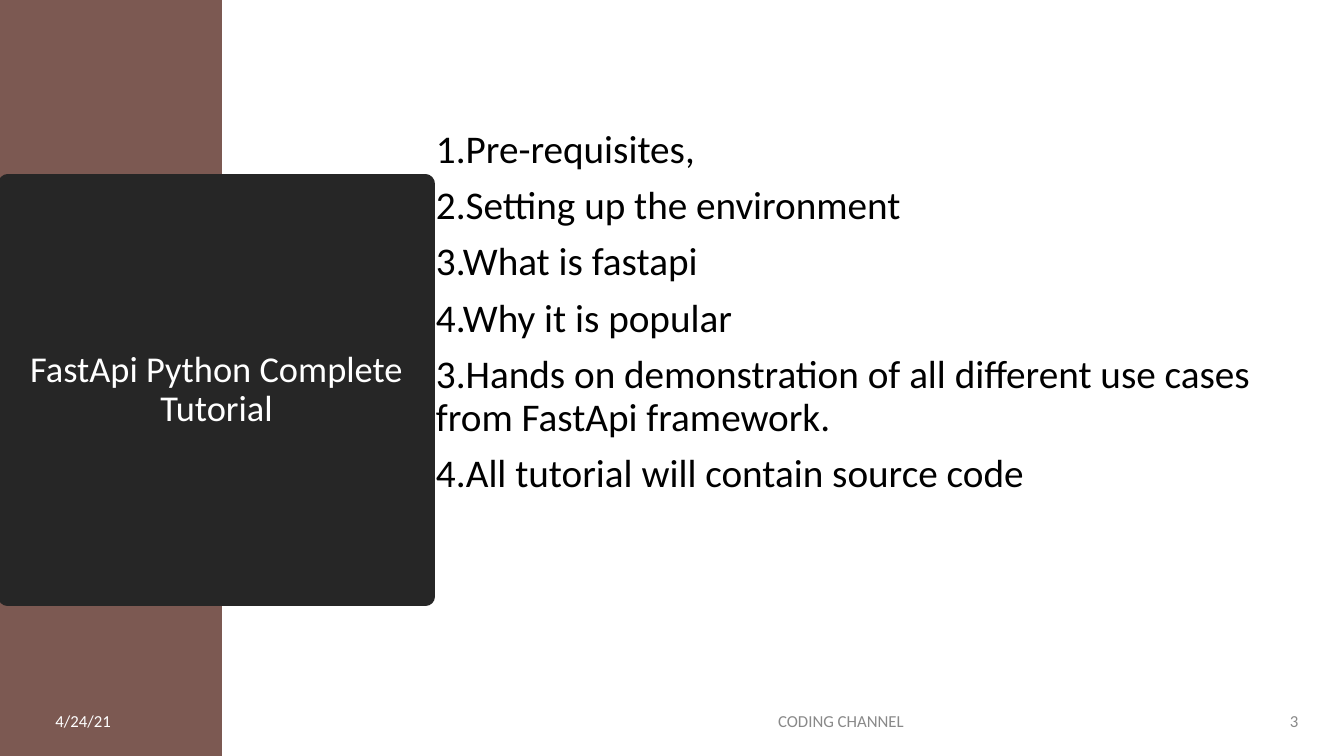
from dataclasses import dataclass

from lxml.etree import SubElement
from pptx import Presentation
from pptx.dml.color import RGBColor
from pptx.enum.shapes import MSO_SHAPE
from pptx.enum.text import MSO_ANCHOR as Anchor, MSO_AUTO_SIZE as AutoSize, PP_ALIGN as Align
from pptx.oxml.ns import qn
from pptx.shapes.base import BaseShape
from pptx.slide import Slide
from pptx.text.text import TextFrame
from pptx.util import Pt

COLORS = {
    "band": "7C5952",
    "panel": "262626",
    "light": "FFFFFF",
    "muted": "898989",
    "text": "000000",
}
FONT = "Calibri"
SLIDE_WIDTH, SLIDE_HEIGHT = 960, 540
TITLE = "FastApi Python Complete Tutorial"
TOPICS = [
    "1.Pre-requisites,",
    "2.Setting up the environment",
    "3.What is fastapi",
    "4.Why it is popular",
    "3.Hands on demonstration of all different use cases from FastApi framework.",
    "4.All tutorial will contain source code",
]


@dataclass(frozen=True)
class Box:
    left: float
    top: float
    width: float
    height: float


@dataclass(frozen=True)
class FooterItem:
    text: str
    left: float
    width: float
    align: Align
    color: str


BAND = Box(0, 0, 158.5, SLIDE_HEIGHT)
TITLE_PANEL = Box(5.5, 131.5, 298.5, 294.5)
TOPIC_AREA = Box(304.2, 88.8, 630.5, 401)
FOOTER_TOP, FOOTER_HEIGHT = 500.5, 28.75
FOOTER = [
    FooterItem("4/24/21", 32.5, 116.5, Align.LEFT, "light"),
    FooterItem("CODING CHANNEL", 324, 553.5, Align.CENTER, "muted"),
    FooterItem("3", 890.5, 44, Align.RIGHT, "muted"),
]


def rgb(name: str) -> RGBColor:
    return RGBColor.from_string(COLORS[name])


def place(shape: BaseShape, box: Box) -> None:
    shape.left, shape.top = Pt(box.left), Pt(box.top)
    shape.width, shape.height = Pt(box.width), Pt(box.height)


def write(frame: TextFrame, lines: list[str], *, size: float, color: str,
          align: Align = Align.LEFT, anchor: Anchor = Anchor.MIDDLE,
          line_spacing: float = 1.0, before: float = 0, after: float = 0) -> None:
    """Fill the frame with one unbulleted paragraph per line."""
    frame.word_wrap = True
    frame.auto_size = AutoSize.NONE
    frame.vertical_anchor = anchor
    for index, line in enumerate(lines):
        paragraph = frame.add_paragraph() if index else frame.paragraphs[0]
        paragraph.alignment = align
        paragraph.line_spacing = line_spacing
        paragraph.space_before, paragraph.space_after = Pt(before), Pt(after)
        properties = paragraph._p.get_or_add_pPr()
        properties.set("marL", "0")
        properties.set("indent", "0")
        SubElement(properties, qn("a:buNone"))
        run = paragraph.add_run()
        run.text = line
        run.font.name = FONT
        run.font.size = Pt(size)
        run.font.color.rgb = rgb(color)


def add_band(slide: Slide) -> None:
    band = slide.shapes.add_shape(MSO_SHAPE.RECTANGLE, 0, 0, 0, 0)
    place(band, BAND)
    band.shadow.inherit = False
    band.fill.solid()
    band.fill.fore_color.rgb = rgb("band")
    band.line.fill.background()
    # Placeholders already exist, so the band moves behind them.
    slide.shapes._spTree.insert(2, band._element)


def fill_title(slide: Slide) -> None:
    title = slide.shapes.title
    place(title, TITLE_PANEL)
    title.fill.solid()
    title.fill.fore_color.rgb = rgb("panel")
    title.line.color.rgb = rgb("panel")
    title.line.width = Pt(13.75)
    write(title.text_frame, [TITLE], size=26, color="light",
          align=Align.CENTER, line_spacing=0.9)


def fill_topics(slide: Slide) -> None:
    body = slide.placeholders[1]
    place(body, TOPIC_AREA)
    write(body.text_frame, TOPICS, size=28, color="text",
          anchor=Anchor.TOP, line_spacing=0.9, before=10)


def add_footer(slide: Slide) -> None:
    for item in FOOTER:
        text_box = slide.shapes.add_textbox(0, 0, 0, 0)
        place(text_box, Box(item.left, FOOTER_TOP, item.width, FOOTER_HEIGHT))
        write(text_box.text_frame, [item.text], size=12, color=item.color,
              align=item.align, after=6)


def main() -> None:
    presentation = Presentation()
    presentation.slide_width, presentation.slide_height = Pt(SLIDE_WIDTH), Pt(SLIDE_HEIGHT)
    slide = presentation.slides.add_slide(presentation.slide_layouts[1])
    slide.background.fill.solid()
    slide.background.fill.fore_color.rgb = rgb("light")
    add_band(slide)
    fill_title(slide)
    fill_topics(slide)
    add_footer(slide)
    presentation.save("out.pptx")


if __name__ == "__main__":
    main()
